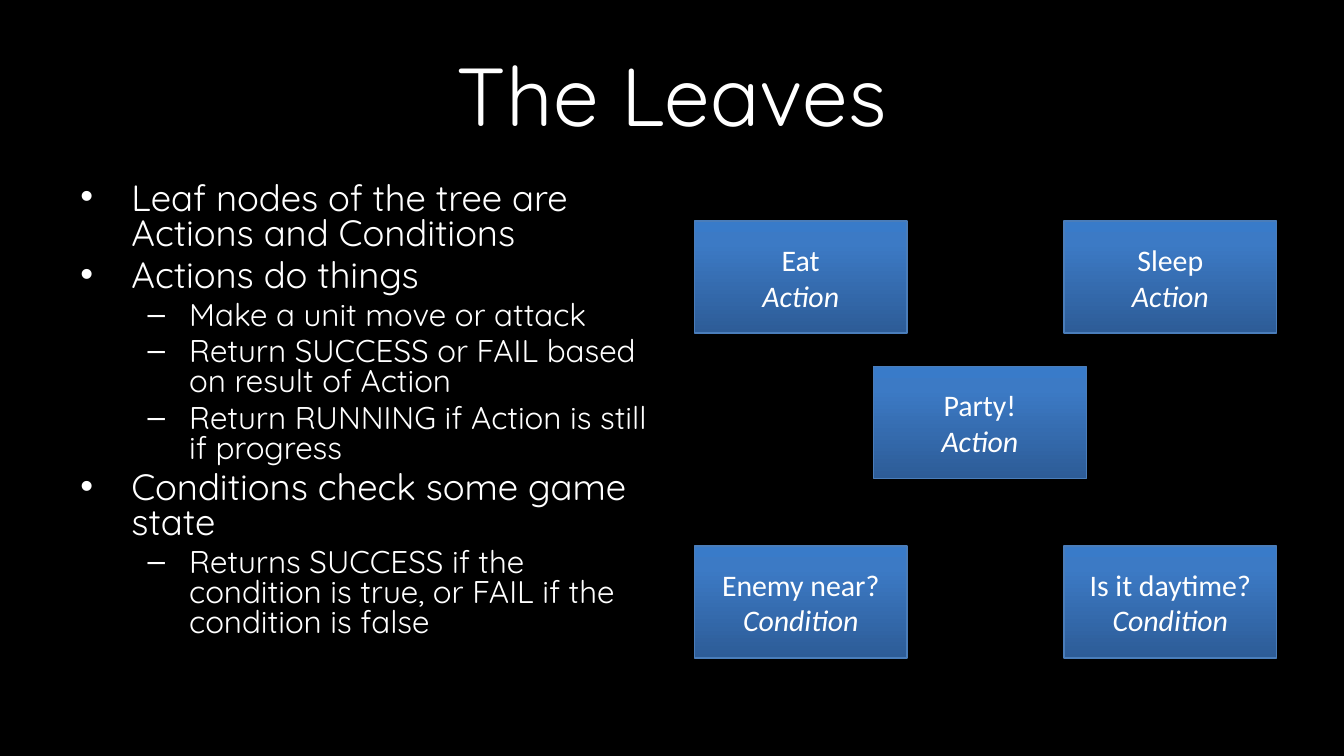
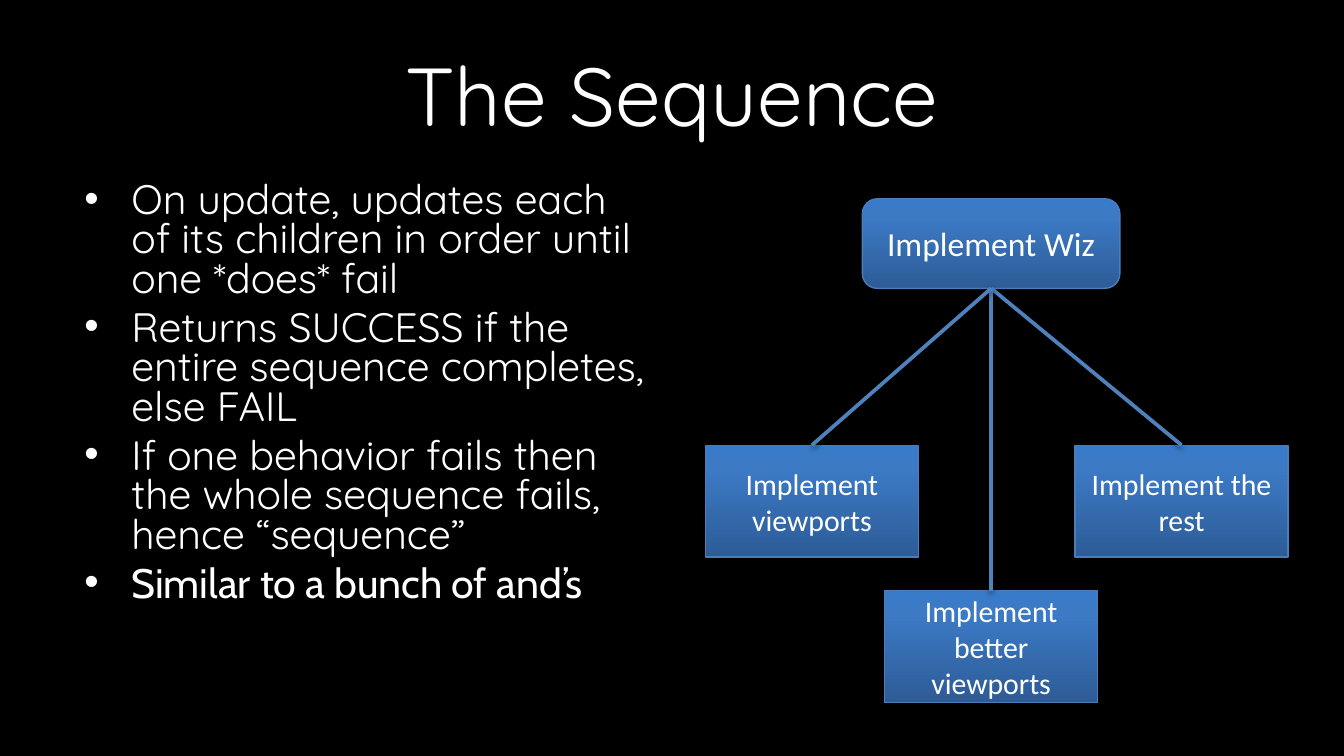
import pptx
import pptx.dml.color
import pptx.enum.shapes
import pptx.enum.text
import pptx.oxml.ns
import pptx.util
from lxml import etree

CELL = 1 / 12
WHITE = "FFFFFF"
BLACK = "000000"
BOX_EDGE = "4A7DBA"
LINK = "4F81BD"
BOX_STOPS = [(0, "2D5C97"), (80, "3C7AC5"), (100, "397BC9")]
HEADING_FONT = "Quicksand"
BOX_FONT = "Calibri"
NODE_WIDTH, NODE_HEIGHT = 19, 10
SHAPES = pptx.enum.shapes.MSO_SHAPE
ALIGN = pptx.enum.text.PP_ALIGN
ANCHOR = pptx.enum.text.MSO_ANCHOR
TOP, BOTTOM = 0, 2


def color(value):
    return pptx.dml.color.RGBColor.from_string(value)


def cells(*counts):
    return [pptx.util.Inches(count * CELL) for count in counts]


def add_child(parent, tag, **attributes):
    return etree.SubElement(parent, pptx.oxml.ns.qn(tag), **attributes)


def add_color(parent, value):
    return add_child(parent, "a:srgbClr", val=value)


def add_shadow(item, opacity, distance):
    properties = item.element.spPr
    effects = properties.find(pptx.oxml.ns.qn("a:effectLst"))
    if effects is None:
        effects = add_child(properties, "a:effectLst")
    shadow = add_child(
        effects, "a:outerShdw", blurRad=str(pptx.util.Pt(3.1)),
        dist=str(pptx.util.Pt(distance)), dir="5400000", rotWithShape="0")
    add_child(add_color(shadow, BLACK), "a:alpha", val=str(opacity * 1000))


def fill_gradient(shape):
    shape.fill.gradient()
    shape.fill.gradient_angle = 90
    stops = shape.element.spPr.find(".//" + pptx.oxml.ns.qn("a:gsLst"))
    for stop in list(stops):
        stops.remove(stop)
    for position, value in BOX_STOPS:
        add_color(add_child(stops, "a:gs", pos=str(position * 1000)), value)


def add_text(para, text, size=16, font=BOX_FONT, italic=None, align=None):
    para.alignment = align
    span = para.add_run()
    span.text = text
    span.font.size = pptx.util.Pt(size)
    span.font.name = font
    span.font.italic = italic
    span.font.color.rgb = color(WHITE)


def next_para(frame, index):
    return frame.add_paragraph() if index else frame.paragraphs[0]


def add_frame(page, left, top, width, height, anchor):
    frame = page.shapes.add_textbox(*cells(left, top, width, height)).text_frame
    frame.word_wrap = True
    frame.vertical_anchor = anchor
    return frame


def add_page(deck, title):
    page = deck.slides.add_slide(deck.slide_layouts[6])
    page.background.fill.solid()
    page.background.fill.fore_color.rgb = color(BLACK)
    frame = add_frame(page, 6, 2.75, 108, 11.25, ANCHOR.MIDDLE)
    add_text(frame.paragraphs[0], title, size=44, font=HEADING_FONT, align=ALIGN.CENTER)
    return page


def add_bullet(para, text, size, level=0, hang=0.38, before=0, font=HEADING_FONT):
    add_text(para, text, size=size, font=font)
    para.level = level
    para.line_spacing = 0.8
    para.space_before = pptx.util.Pt(before)
    properties = para._p.get_or_add_pPr()
    properties.set("marL", str(pptx.util.Inches(0.81 if level else 0.38)))
    properties.set("indent", str(-pptx.util.Inches(hang)))
    add_color(add_child(properties, "a:buClr"), WHITE)
    add_child(properties, "a:buFont", typeface="Arial")
    add_child(properties, "a:buChar", char="–" if level else "•")


def add_bullets(page, bullets):
    frame = add_frame(page, 6, 15.75, 53, 44.5, ANCHOR.TOP)
    for index, (text, style) in enumerate(bullets):
        spacing = {} if index else {"before": 0}
        add_bullet(next_para(frame, index), text, **{**style, **spacing})


def add_node(page, left, top, text, kind=None, width=NODE_WIDTH,
             height=NODE_HEIGHT, shape=SHAPES.RECTANGLE, size=16):
    box = page.shapes.add_shape(shape, *cells(left, top, width, height))
    fill_gradient(box)
    box.line.color.rgb = color(BOX_EDGE)
    box.line.width = pptx.util.Pt(0.75)
    box.shadow.inherit = False
    add_shadow(box, 35, 1.8)
    frame = box.text_frame
    frame.word_wrap = True
    frame.vertical_anchor = ANCHOR.MIDDLE
    add_text(frame.paragraphs[0], text, size=size, align=ALIGN.CENTER)
    if kind:
        add_text(frame.add_paragraph(), kind, size=size, italic=True, align=ALIGN.CENTER)
    return box


def link_nodes(page, parent, child):
    link = page.shapes.add_connector(
        pptx.enum.shapes.MSO_CONNECTOR.STRAIGHT, 0, 0, 0, 0)
    link.begin_connect(parent, BOTTOM)
    link.end_connect(child, TOP)
    link.line.color.rgb = color(LINK)
    link.line.width = pptx.util.Pt(2)
    add_shadow(link, 38, 1.6)


def build_leaves(deck):
    page = add_page(deck, "The Leaves")
    main_style = {"size": 19.6, "before": 3.9}
    sub_style = {"size": 16.8, "before": 3.4, "level": 1, "hang": 0.31}
    add_bullets(page, [
        ("Leaf nodes of the tree are Actions and Conditions", main_style),
        ("Actions do things", main_style),
        ("Make a unit move or attack", sub_style),
        ("Return SUCCESS or FAIL based on result of Action", sub_style),
        ("Return RUNNING if Action is still if progress", sub_style),
        ("Conditions check some game state", main_style),
        ("Returns SUCCESS if the condition is true, or FAIL if the condition is false",
         sub_style),
    ])
    for left, top, text, kind in [
        (62, 19.75, "Eat", "Action"),
        (78, 32.75, "Party!", "Action"),
        (95, 19.75, "Sleep", "Action"),
        (62, 48.75, "Enemy near?", "Condition"),
        (95, 48.75, "Is it daytime?", "Condition"),
    ]:
        add_node(page, left, top, text, kind)


def build_sequence(deck):
    page = add_page(deck, "The Sequence")
    style = {"size": 22, "before": 5.2, "hang": 0.35}
    add_bullets(page, [
        ("On update, updates each of its children in order until one *does* fail", style),
        ("Returns SUCCESS if the entire sequence completes, else FAIL", style),
        ("If one behavior fails then the whole sequence fails, hence “sequence”", style),
        ("Similar to a bunch of and’s", {**style, "font": "Cabin"}),
    ])
    root = add_node(page, 77, 17.75, "Implement Wiz", width=23, height=8,
                    shape=SHAPES.ROUNDED_RECTANGLE, size=18)
    children = [add_node(page, left, top, text) for left, top, text in [
        (63, 39.75, "Implement viewports"),
        (79, 52.75, "Implement better viewports"),
        (96, 39.75, "Implement the rest"),
    ]]
    for child in reversed(children):
        link_nodes(page, root, child)


def main():
    deck = pptx.Presentation()
    deck.slide_width, deck.slide_height = cells(120, 67.5)
    build_leaves(deck)
    build_sequence(deck)
    deck.save("out.pptx")


if __name__ == "__main__":
    main()
